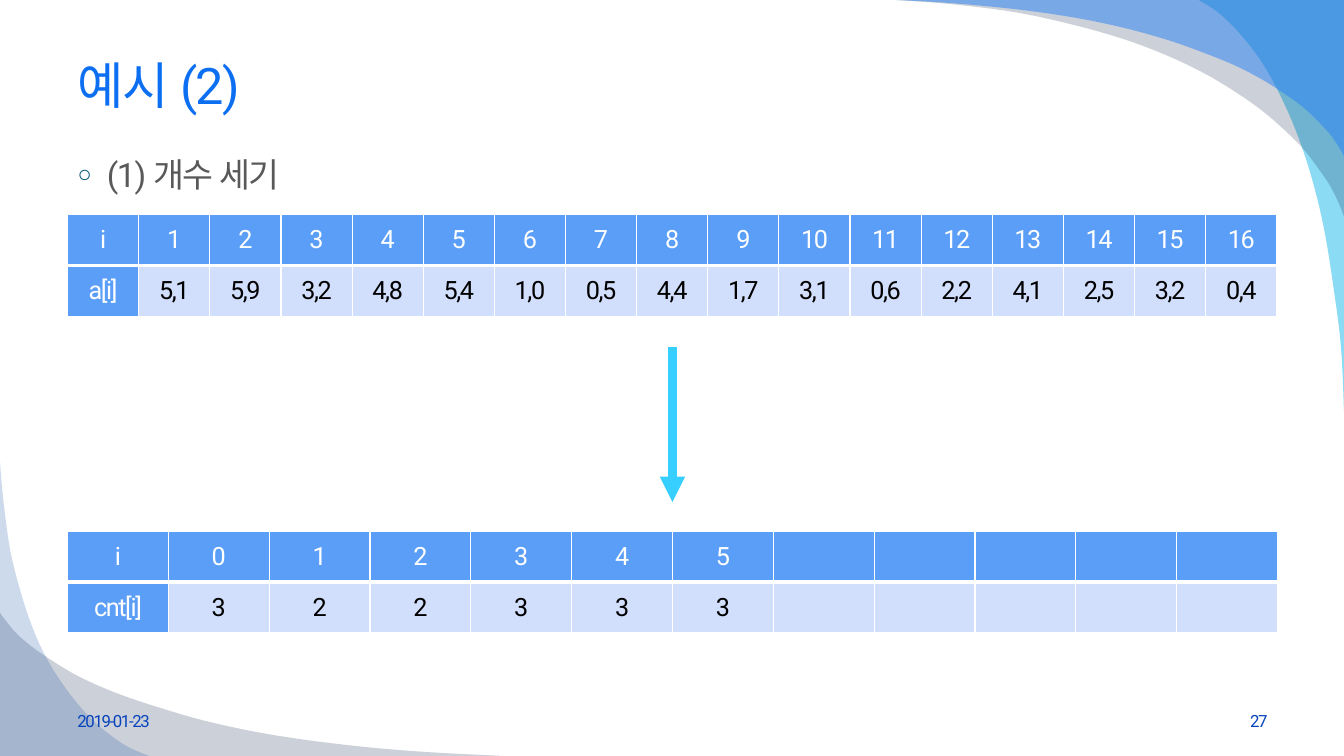
from dataclasses import dataclass

from pptx import Presentation
from pptx import util as u
from pptx.dml.color import RGBColor
from pptx.enum import shapes, text
from pptx.oxml import ns
from pptx.oxml.xmlchemy import OxmlElement


@dataclass(frozen=True)
class Theme:
    font: str = "Roboto"
    title: str = "0C6FF2"
    body: str = "595959"
    foot: str = "0743BC"
    bullet: str = "005876"
    head: str = "5B9EF7"
    cell: str = "D2DFFC"
    white: str = "FFFFFF"
    black: str = "000000"
    arrow: str = "37CFFF"
    cyan: str = "00B1E9"
    navy: str = "021741"
    sky: str = "247FF4"
    blue: str = "084AA1"
    big: int = 36
    list: int = 24
    table: int = 18
    small: int = 12


def node(parent, tag, **attrs):
    """Append a DrawingML element and return it."""
    item = OxmlElement(tag)
    for key, val in attrs.items():
        item.set(key, str(val))
    parent.append(item)
    return item


def smooth(knots, steps=6):
    """Points of a Catmull-Rom curve through the knots."""
    ends = [knots[0], *knots, knots[-1]]
    points = [knots[0]]
    for quad in zip(ends, ends[1:], ends[2:], ends[3:]):
        for step in range(1, steps + 1):
            t = step / steps
            points.append(tuple(
                (2 * b + (c - a) * t + (2 * a - 5 * b + 4 * c - d) * t ** 2
                 + (3 * b - a - 3 * c + d) * t ** 3) / 2
                for a, b, c, d in zip(*quad)))
    return points


class Deck:
    def __init__(self, theme):
        self.theme = theme
        self.show = Presentation()
        self.show.slide_width = u.Inches(13.33)
        self.show.slide_height = u.Inches(7.5)
        self.slide = self.show.slides.add_slide(self.show.slide_layouts[1])
        self.shapes = self.slide.shapes
        self.back = 2

    def label(self, para, words, size, color, align=text.PP_ALIGN.LEFT):
        para.alignment = align
        run = para.add_run()
        run.text = words
        look = {"name": self.theme.font, "size": u.Pt(size), "bold": False}
        for key, val in look.items():
            setattr(run.font, key, val)
        run.font.color.rgb = RGBColor.from_string(color)
        props = run.font._element
        props.set("spc", "-100")
        node(props, "a:ea", typeface=self.theme.font)

    def place(self, shape, box, anchor):
        for key, val in zip(("left", "top", "width", "height"), box):
            setattr(shape, key, u.Inches(val))
        frame = shape.text_frame
        look = {"word_wrap": True, "vertical_anchor": anchor,
                "auto_size": text.MSO_AUTO_SIZE.NONE}
        for key, val in look.items():
            setattr(frame, key, val)
        return frame.paragraphs[0]

    def title(self, words, box):
        para = self.place(self.shapes.title, box, text.MSO_ANCHOR.MIDDLE)
        self.label(para, words, self.theme.big, self.theme.title)

    def bullet(self, words, box):
        para = self.place(self.slide.placeholders[1], box, text.MSO_ANCHOR.TOP)
        para.space_before = u.Pt(0)
        props = para._p.get_or_add_pPr()
        props.set("marL", str(u.Inches(0.29)))
        props.set("indent", str(u.Inches(-0.29)))
        node(node(props, "a:buClr"), "a:srgbClr", val=self.theme.bullet)
        node(props, "a:buSzPct", val=70000)
        node(props, "a:buChar", char="○")
        self.label(para, words, self.theme.list, self.theme.body)

    def foot(self, words, left, align):
        box = (left, 6.95, 3.11, 0.4)
        shape = self.shapes.add_textbox(*map(u.Inches, box))
        para = self.place(shape, box, text.MSO_ANCHOR.MIDDLE)
        self.label(para, words, self.theme.small, self.theme.foot, align)

    def swoosh(self, corners, knots, color, alpha):
        """Draw a translucent curved corner behind the content."""
        points = [(u.Inches(x), u.Inches(y)) for x, y in corners + smooth(knots)]
        outline = self.shapes.build_freeform(*points[0])
        outline.add_line_segments(points[1:], close=True)
        shape = outline.convert_to_shape()
        shape.shadow.inherit = False
        shape.fill.solid()
        shape.fill.fore_color.rgb = RGBColor.from_string(color)
        shape.line.fill.background()
        item = shape._element
        tint = item.spPr.find(ns.qn("a:solidFill"))[0]
        node(tint, "a:alpha", val=alpha * 1000)
        item.getparent().insert(self.back, item)
        self.back += 1

    def edge(self, cell, row):
        """Give a cell white borders, thick between the two rows."""
        props = cell._tc.get_or_add_tcPr()
        wide = {"a:lnT": row == 1, "a:lnB": row == 0}
        for spot, tag in enumerate(("a:lnL", "a:lnR", "a:lnT", "a:lnB")):
            line = node(props, tag, w=u.Pt(3 if wide.get(tag) else 1))
            node(node(line, "a:solidFill"), "a:srgbClr", val=self.theme.white)
            props.insert(spot, line)

    def table(self, rows, cols, top):
        theme = self.theme
        box = map(u.Inches, (0.67, top, 12, 1.01))
        grid = self.shapes.add_table(len(rows), cols, *box).table
        grid.first_col = True
        grid.horz_banding = False
        for col in grid.columns:
            col.width = u.Inches(12 / cols)
        for r, row in enumerate(rows):
            for c in range(cols):
                cell = grid.cell(r, c)
                head = r == 0 or c == 0
                cell.fill.solid()
                cell.fill.fore_color.rgb = RGBColor.from_string(
                    theme.head if head else theme.cell)
                cell.vertical_anchor = text.MSO_ANCHOR.MIDDLE
                self.edge(cell, r)
                if c < len(row):
                    self.label(cell.text_frame.paragraphs[0], row[c], theme.table,
                               theme.white if head else theme.black,
                               text.PP_ALIGN.CENTER)

    def arrow(self, start, end):
        line = self.shapes.add_connector(
            shapes.MSO_CONNECTOR.STRAIGHT, *map(u.Inches, start + end))
        line.line.width = u.Pt(6)
        line.line.color.rgb = RGBColor.from_string(self.theme.arrow)
        node(line.line._get_or_add_ln(), "a:tailEnd", type="triangle")
        node(line._element.spPr, "a:effectLst")


def main():
    theme = Theme()
    deck = Deck(theme)
    right = [(13.33, 0)]
    left = [(0, 7.5)]
    deck.swoosh(right, [
        (11.89, 0), (12.05, 0.1), (12.2, 0.23), (12.37, 0.42), (12.53, 0.64),
        (12.69, 0.93), (12.85, 1.29), (13, 1.73), (13.13, 2.26), (13.23, 2.88),
        (13.3, 3.44), (13.33, 4.08)], theme.cyan, 45)
    deck.swoosh(right, [
        (8.89, 0), (9.42, 0.04), (10.06, 0.12), (10.62, 0.24), (11.12, 0.38),
        (11.55, 0.54), (11.93, 0.72), (12.25, 0.91), (12.52, 1.1), (12.74, 1.29),
        (12.92, 1.47), (13.06, 1.65), (13.19, 1.84), (13.28, 2.02),
        (13.33, 2.15)], theme.navy, 20)
    deck.swoosh(right, [
        (8.89, 0), (9.42, 0.03), (10.06, 0.09), (10.63, 0.17), (11.12, 0.27),
        (11.56, 0.39), (11.93, 0.52), (12.25, 0.65), (12.52, 0.79), (12.74, 0.93),
        (12.92, 1.06), (13.06, 1.19), (13.19, 1.33), (13.28, 1.46),
        (13.33, 1.55)], theme.sky, 49)
    deck.swoosh(left, [
        (0, 6.08), (0.06, 6.16), (0.16, 6.28), (0.31, 6.41), (0.51, 6.55),
        (0.78, 6.71), (1.14, 6.87), (1.58, 7.02), (2.11, 7.17), (2.76, 7.3),
        (3.52, 7.4), (4.22, 7.46), (5, 7.5)], theme.navy, 20)
    deck.swoosh(left, [
        (1.48, 7.5), (1.31, 7.43), (1.16, 7.34), (0.98, 7.2), (0.82, 7.04),
        (0.66, 6.84), (0.49, 6.58), (0.34, 6.27), (0.21, 5.89), (0.1, 5.45),
        (0.03, 4.93), (0, 4.58)], theme.blue, 20)

    deck.title("예시 (2)", (0.67, 0.33, 12, 1.01))
    deck.bullet("(1) 개수 세기", (0.67, 1.48, 12, 5.22))
    deck.foot("2019-01-23", 0.67, text.PP_ALIGN.LEFT)
    deck.foot("27", 9.56, text.PP_ALIGN.RIGHT)

    data = "5,1 5,9 3,2 4,8 5,4 1,0 0,5 4,4 1,7 3,1 0,6 2,2 4,1 2,5 3,2 0,4".split()
    deck.table([["i", *map(str, range(1, 17))], ["a[i]", *data]], 17, 2.13)
    deck.arrow((6.67, 3.44), (6.67, 4.98))
    counts = [str(sum(int(val[0]) == n for val in data)) for n in range(6)]
    deck.table([["i", *map(str, range(6))], ["cnt[i]", *counts]], 12, 5.27)
    deck.show.save("out.pptx")


if __name__ == "__main__":
    main()
